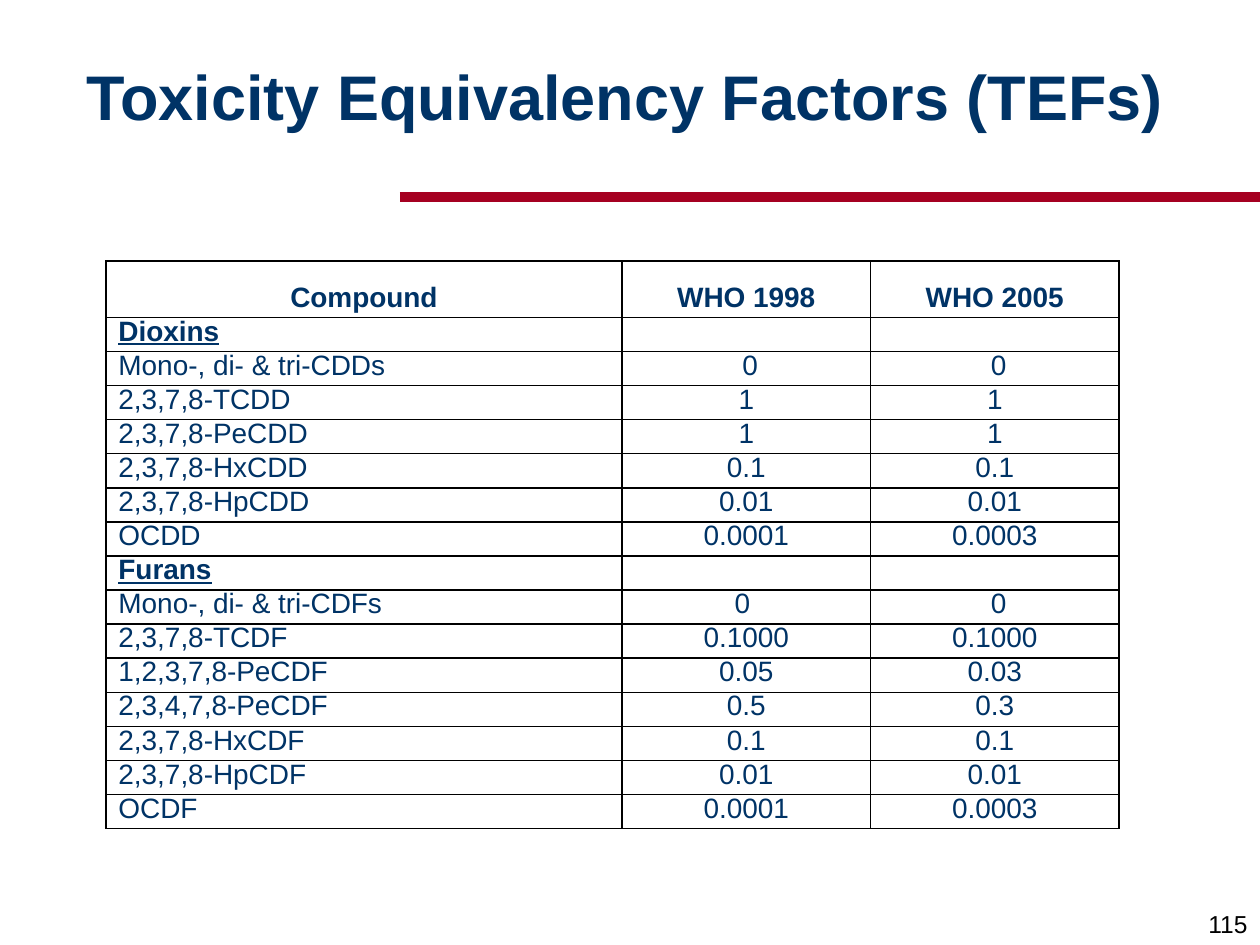
from lxml import etree
from pptx import Presentation
from pptx.dml.color import RGBColor
from pptx.enum import shapes, text
from pptx.oxml import ns
from pptx.util import Pt

COLORS = {"navy": "003366", "red": "A50021", "black": "000000", "white": "FFFFFF"}
FONT = "Arial"
LEFT, MID, RIGHT = text.PP_ALIGN.LEFT, text.PP_ALIGN.CENTER, text.PP_ALIGN.RIGHT

HEADS = ("Compound", "WHO 1998", "WHO 2005")
GROUPS = {
    "Dioxins": [
        ("Mono-, di- & tri-CDDs", " 0", " 0"),
        ("2,3,7,8-TCDD", "1", "1"),
        ("2,3,7,8-PeCDD", "1", "1"),
        ("2,3,7,8-HxCDD", "0.1", "0.1"),
        ("2,3,7,8-HpCDD", "0.01", "0.01"),
        ("OCDD", "0.0001", "0.0003"),
    ],
    "Furans": [
        ("Mono-, di- & tri-CDFs", "0 ", " 0"),
        ("2,3,7,8-TCDF", "0.1000", "0.1000"),
        ("1,2,3,7,8-PeCDF", "0.05", "0.03"),
        ("2,3,4,7,8-PeCDF", "0.5", "0.3"),
        ("2,3,7,8-HxCDF", "0.1", "0.1"),
        ("2,3,7,8-HpCDF", "0.01", "0.01"),
        ("OCDF", "0.0001", "0.0003"),
    ],
}


def rgb(name):
    return RGBColor.from_string(COLORS[name])


def add_run(para, words, size, color, bold=False, under=False):
    run = para.add_run()
    run.text = words
    font = run.font
    font.name, font.size, font.bold = FONT, Pt(size), bold
    font.color.rgb = rgb(color)
    if under:
        font.underline = True


def add_text(slide, box, words, size, color, anchor, align, bold=False, space=1.0, wrap=True):
    frame = slide.shapes.add_textbox(*map(Pt, box)).text_frame
    frame.word_wrap = wrap
    frame.vertical_anchor = anchor
    para = frame.paragraphs[0]
    para.alignment, para.line_spacing = align, space
    add_run(para, words, size, color, bold)


def add_rule(slide, x1, x2, y):
    line = slide.shapes.add_connector(
        shapes.MSO_CONNECTOR.STRAIGHT, Pt(x1), Pt(y), Pt(x2), Pt(y))
    line.line.color.rgb = rgb("red")
    line.line.width = Pt(6)
    etree.SubElement(line._element.spPr, ns.qn("a:effectLst"))


def add_edges(cell):
    props = cell._tc.get_or_add_tcPr()
    for i, side in enumerate(("lnL", "lnR", "lnT", "lnB")):
        edge = etree.Element(ns.qn("a:" + side), w=str(Pt(1)))
        fill = etree.SubElement(edge, ns.qn("a:solidFill"))
        etree.SubElement(fill, ns.qn("a:srgbClr"), val=COLORS["black"])
        props.insert(i, edge)


def fill_cell(cell, words, align, bold, under):
    cell.fill.solid()
    cell.fill.fore_color.rgb = rgb("white")
    add_edges(cell)
    cell.vertical_anchor = text.MSO_ANCHOR.BOTTOM
    cell.margin_left = cell.margin_right = Pt(7.2)
    para = cell.text_frame.paragraphs[0]
    if words:
        cell.margin_top, cell.margin_bottom = Pt(3.4), Pt(3.6)
        para.alignment, para.line_spacing = align, 0.65
        add_run(para, words, 16, "navy", bold, under)
    else:
        # An empty cell must not stretch its row
        cell.margin_top = cell.margin_bottom = 0
        etree.SubElement(para._p, ns.qn("a:endParaRPr"), sz="1200")


def add_grid(slide, left, top, widths, head, step):
    rows = [HEADS]
    for name, items in GROUPS.items():
        rows += [(name, "", ""), *items]
    high = head + step * (len(rows) - 1)
    table = slide.shapes.add_table(
        len(rows), len(widths), Pt(left), Pt(top), Pt(sum(widths)), Pt(high)).table
    table.first_row = table.horz_banding = False
    for col, width in zip(table.columns, widths):
        col.width = Pt(width)
    for r, row in enumerate(rows):
        table.rows[r].height = Pt(step if r else head)
        group = row[0] in GROUPS
        for c, words in enumerate(row):
            align = LEFT if r and c == 0 else MID
            fill_cell(table.cell(r, c), words, align, r == 0 or group, group)


def main():
    deck = Presentation()
    deck.slide_width, deck.slide_height = Pt(720), Pt(540)
    slide = deck.slides.add_slide(deck.slide_layouts[6])

    # Title and rule
    add_rule(slide, 228.5, 720, 112.5)
    add_text(slide, (42.4, 12, 642, 90), "Toxicity Equivalency Factors (TEFs)", 36,
             "navy", text.MSO_ANCHOR.MIDDLE, LEFT, bold=True, space=0.9)

    # Table of factors
    add_grid(slide, 60.5, 149.2, (295, 142, 142), 32.2, 19.5)

    # Page number
    add_text(slide, (570, 504, 150, 36), "115", 14, "black",
             text.MSO_ANCHOR.BOTTOM, RIGHT, wrap=False)

    deck.save("out.pptx")


if __name__ == "__main__":
    main()
